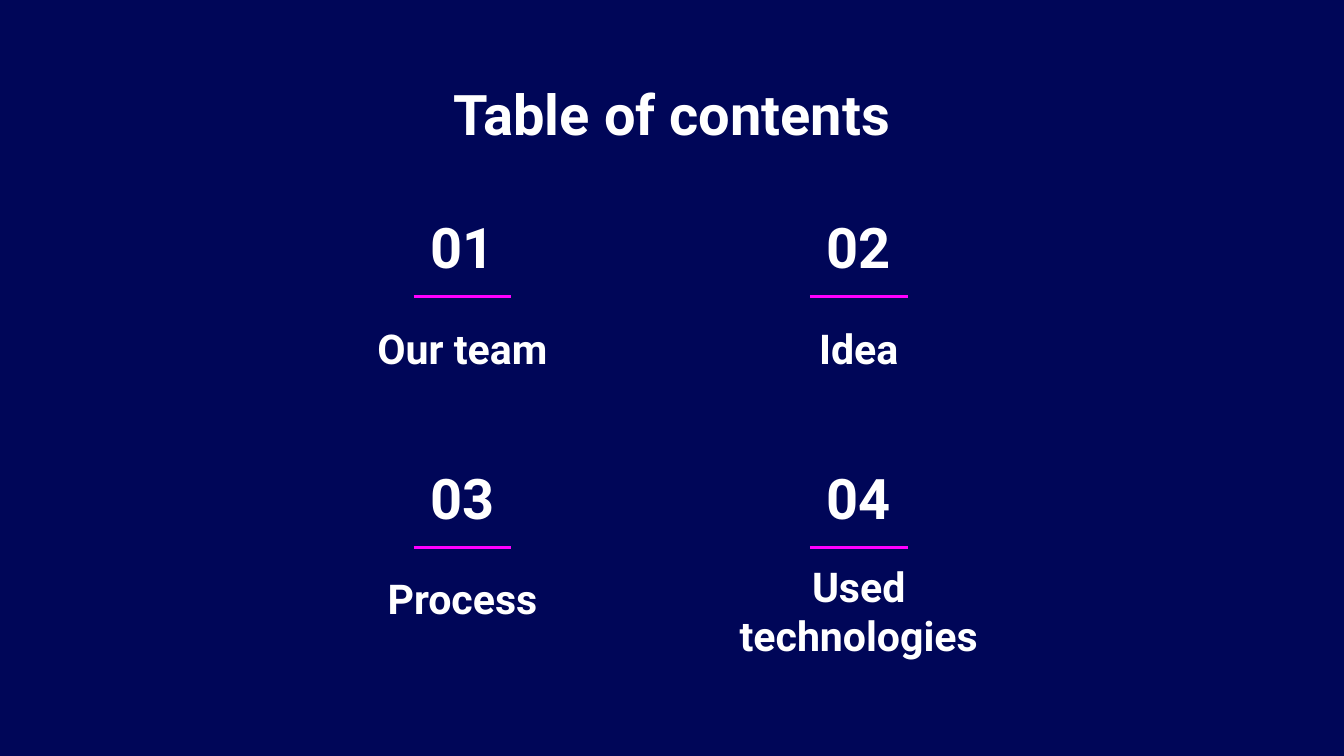
import pptx
import pptx.dml.color
import pptx.enum.shapes
import pptx.enum.text
import pptx.oxml
import pptx.oxml.ns
import pptx.util

Cm = pptx.util.Cm
ANCHOR = pptx.enum.text.MSO_ANCHOR

# Content: number, label, extra drop of the label in cm
TITLE = "Table of contents"
SECTIONS = [
    ("01", "Our team", 0),
    ("02", "Idea", 0),
    ("03", "Process", 0),
    ("04", "Used technologies", 0.69),
]
COLORS = {"background": "000658", "text": "FFFFFF", "rule": "FF00FF"}
FONT = "Roboto"

# Layout in cm: the grid is set by the middle of each rule
COLUMNS = 2
FIRST_X, STEP_X = 8.74, 7.49
FIRST_Y, STEP_Y = 5.61, 4.74
RULE_WIDTH = 1.85
NUMBER_WIDTH, NUMBER_HEIGHT, NUMBER_RISE = 2.03, 1.75, 1.82
LABEL_WIDTH, LABEL_HEIGHT, LABEL_DROP = 6.4, 1.35, 0.33


def color(name):
    return pptx.dml.color.RGBColor.from_string(COLORS[name])


def add_text(page, text, *, left, top, width, height, size, anchor=ANCHOR.BOTTOM):
    box = page.shapes.add_textbox(Cm(left), Cm(top), Cm(width), Cm(height))
    frame = box.text_frame
    frame.word_wrap = True
    frame.vertical_anchor = anchor
    frame.margin_left = frame.margin_right = Cm(0.25)
    frame.margin_top = frame.margin_bottom = Cm(0.25)
    para = frame.paragraphs[0]
    para.alignment = pptx.enum.text.PP_ALIGN.CENTER
    span = para.add_run()
    span.text = text
    span.font.name = FONT
    span.font.size = pptx.util.Pt(size)
    span.font.bold = True
    span.font.color.rgb = color("text")


def add_rule(page, center, y):
    rule = page.shapes.add_connector(
        pptx.enum.shapes.MSO_CONNECTOR.STRAIGHT,
        Cm(center - RULE_WIDTH / 2), Cm(y), Cm(center + RULE_WIDTH / 2), Cm(y))
    rule.line.color.rgb = color("rule")
    rule.line.width = pptx.util.Pt(1.5)
    properties = rule._element.spPr
    properties.append(pptx.oxml.parse_xml(
        f"<a:effectLst {pptx.oxml.ns.nsdecls('a')}/>"))


# Slide and background
deck = pptx.Presentation()
deck.slide_width, deck.slide_height = Cm(25.4), Cm(14.29)
page = deck.slides.add_slide(deck.slide_layouts[6])
page.background.fill.solid()
page.background.fill.fore_color.rgb = color("background")

# Title
add_text(page, TITLE, left=2, top=1.25, width=21.4, height=1.6, size=30,
         anchor=ANCHOR.TOP)

# Sections
for index, (number, label, extra_drop) in enumerate(SECTIONS):
    row, column = divmod(index, COLUMNS)
    center = FIRST_X + column * STEP_X
    y = FIRST_Y + row * STEP_Y
    add_text(page, number, left=center - NUMBER_WIDTH / 2, top=y - NUMBER_RISE,
             width=NUMBER_WIDTH, height=NUMBER_HEIGHT, size=30)
    add_text(page, label, left=center - LABEL_WIDTH / 2,
             top=y + LABEL_DROP + extra_drop,
             width=LABEL_WIDTH, height=LABEL_HEIGHT, size=22)
    add_rule(page, center, y)

deck.save("out.pptx")
